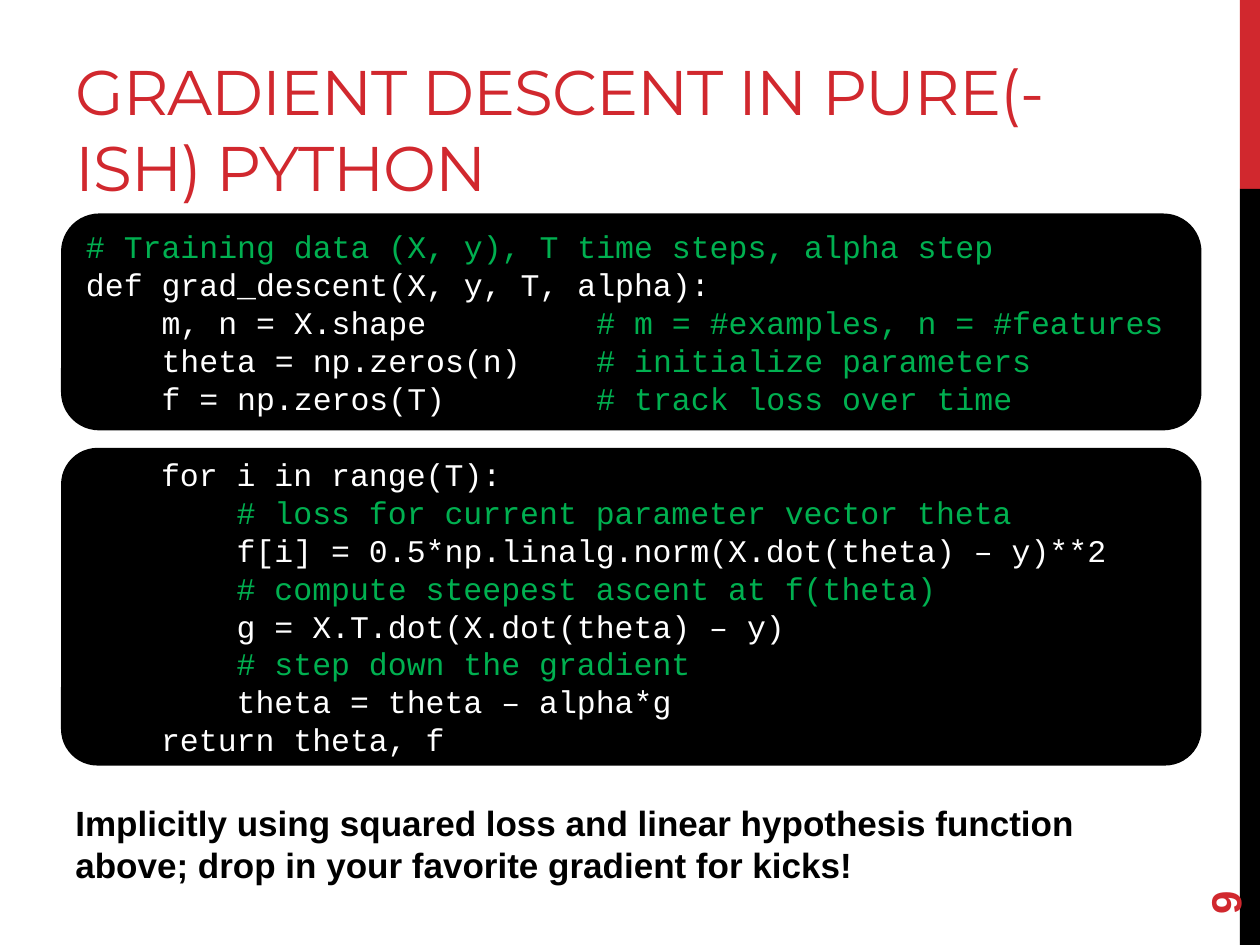
"""Build a slide that shows gradient descent in Python code."""
from pptx import Presentation
from pptx.dml.color import RGBColor
from pptx.enum.shapes import MSO_SHAPE
from pptx.enum.text import MSO_ANCHOR, PP_ALIGN
from pptx.util import Inches, Pt

RECT, ROUNDED = MSO_SHAPE.RECTANGLE, MSO_SHAPE.ROUNDED_RECTANGLE
TOP, MIDDLE, BOTTOM = MSO_ANCHOR.TOP, MSO_ANCHOR.MIDDLE, MSO_ANCHOR.BOTTOM
LEFT = PP_ALIGN.LEFT

RED = RGBColor(0xD1, 0x28, 0x2E)
BLACK = RGBColor(0x00, 0x00, 0x00)
WHITE = RGBColor(0xFF, 0xFF, 0xFF)
GREEN = RGBColor(0x00, 0xB0, 0x50)

SETUP_CODE = """\
# Training data (X, y), T time steps, alpha step
def grad_descent(X, y, T, alpha):
    m, n = X.shape         # m = #examples, n = #features
    theta = np.zeros(n)    # initialize parameters
    f = np.zeros(T)        # track loss over time"""

LOOP_CODE = """\
    for i in range(T):
        # loss for current parameter vector theta
        f[i] = 0.5*np.linalg.norm(X.dot(theta) – y)**2
        # compute steepest ascent at f(theta)
        g = X.T.dot(X.dot(theta) – y)
        # step down the gradient
        theta = theta – alpha*g
    return theta, f"""


def add_run(p, text, size=18, font="Arial", color=BLACK, bold=False, spacing=None):
    r = p.add_run()
    r.text = text
    r.font.size = Pt(size)
    r.font.name = font
    r.font.bold = bold
    r.font.color.rgb = color
    if spacing is not None:
        r._r.get_or_add_rPr().set("spc", str(round(spacing * 100)))


class SlideBuilder:
    def __init__(self, prs):
        self.s = prs.slides.add_slide(prs.slide_layouts[6])
        self.code_font = "Courier New"

    def box(self, kind, x, y, w, h, fill):
        sp = self.s.shapes.add_shape(kind, Inches(x), Inches(y), Inches(w), Inches(h))
        sp.shadow.inherit = False
        sp.fill.solid()
        sp.fill.fore_color.rgb = fill
        sp.line.fill.background()
        return sp

    def text(self, text, x, y, w, h, anchor=TOP, rotation=0, after=0, **fmt):
        sp = self.s.shapes.add_textbox(Inches(x), Inches(y), Inches(w), Inches(h))
        sp.rotation = rotation
        tf = sp.text_frame
        tf.word_wrap = True
        tf.vertical_anchor = anchor
        p = tf.paragraphs[0]
        p.space_after = Pt(after)
        add_run(p, text, **fmt)

    def code(self, source, x, y, w, h, radius):
        sp = self.box(ROUNDED, x, y, w, h, BLACK)
        sp.adjustments[0] = radius
        sp.line.color.rgb = BLACK
        sp.line.width = Pt(2.25)
        tf = sp.text_frame
        tf.word_wrap = True
        tf.vertical_anchor = MIDDLE
        for i, line in enumerate(source.split("\n")):
            p = tf.add_paragraph() if i else tf.paragraphs[0]
            p.alignment = LEFT
            statement, mark, comment = line.partition("#")
            for part, color in ((statement, WHITE), (mark + comment, GREEN)):
                if part:
                    add_run(p, part, font=self.code_font, color=color)


def main():
    prs = Presentation()
    prs.slide_width, prs.slide_height = Inches(10), Inches(7.5)
    b = SlideBuilder(prs)
    b.box(RECT, 9.84, 0, 0.16, 1.5, RED)
    b.box(RECT, 9.84, 1.5, 0.16, 6, BLACK)
    b.text("GRADIENT DESCENT IN PURE(-ISH) PYTHON", 0.5, 0.17, 8.35, 1.5,
           anchor=BOTTOM, size=36, font="Montserrat", color=RED, spacing=-0.6)
    b.text("Implicitly using squared loss and linear hypothesis function above; "
           "drop in your favorite gradient for kicks!",
           0.5, 6.31, 8.33, 0.78, after=6, size=20, bold=True)
    b.text("9", 9, 6.44, 1.44, 0.4, anchor=MIDDLE, rotation=270,
           size=24, color=RED, bold=True)
    b.code(SETUP_CODE, 0.5, 1.71, 9.02, 1.69, radius=0.17)
    b.code(LOOP_CODE, 0.5, 3.57, 9.02, 2.49, radius=0.11)
    prs.save("out.pptx")


if __name__ == "__main__":
    main()
